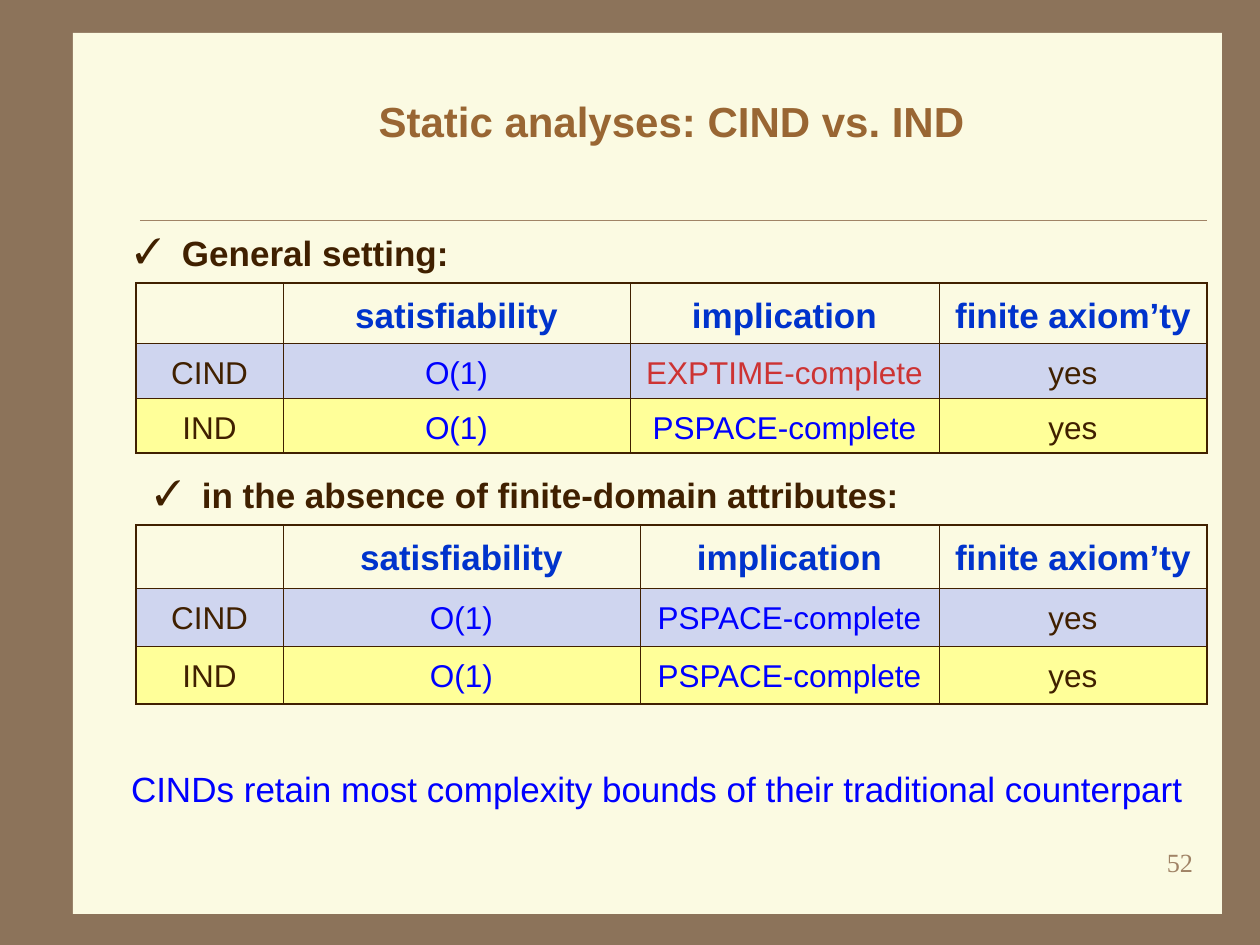
from dataclasses import dataclass

from pptx import Presentation
from pptx.dml.color import RGBColor as RGB
from pptx.enum.shapes import MSO_CONNECTOR as CONN, MSO_SHAPE as SHAPE
from pptx.enum.text import MSO_ANCHOR as ANCHOR, MSO_AUTO_SIZE as AUTO, PP_ALIGN as ALIGN
from pptx.oxml.ns import qn
from pptx.util import Pt
from lxml.etree import SubElement

EMU_PER_PX = 914400 / 126


@dataclass(frozen=True)
class Theme:
    sans: str = "Arial"
    serif: str = "Times New Roman"
    frame: str = "8C735A"
    panel: str = "FBFAE2"
    rule: str = "A08366"
    title: str = "996633"
    ink: str = "402000"
    header: str = "0033CC"
    bound: str = "0000FF"
    alert: str = "CD3333"
    cind_row: str = "CFD5EF"
    ind_row: str = "FFFF99"
    title_size: int = 24
    text_size: int = 20
    cell_size: int = 18
    number_size: int = 15
    outer_line: float = 1.08
    inner_line: float = 0.45
    rule_line: float = 0.25


T = Theme()
HEADER = ["", "satisfiability", "implication", "finite axiom’ty"]
PSPACE = "PSPACE-complete"


def px(n):
    return round(n * EMU_PER_PX)


def box(*lengths):
    return [px(n) for n in lengths]


def write(tf, text, color, size, bold=False, font=T.sans, align=ALIGN.LEFT):
    p = tf.paragraphs[0]
    p.alignment = align
    r = p.add_run()
    r.text = text
    formats = {"name": font, "size": Pt(size), "bold": bold}
    for name, value in formats.items():
        setattr(r.font, name, value)
    r.font.color.rgb = RGB.from_string(color)
    return p


def set_frame(tf, side, end, **formats):
    insets = {"margin_left": px(side), "margin_right": px(side),
              "margin_top": px(end), "margin_bottom": px(end)}
    for name, value in {**insets, **formats}.items():
        setattr(tf, name, value)


# Panel and the rule under the title
def add_backdrop(s):
    s.background.fill.solid()
    s.background.fill.fore_color.rgb = RGB.from_string(T.frame)
    sp = s.shapes.add_shape(SHAPE.RECTANGLE, *box(73, 33, 1149, 881))
    sp.shadow.inherit = False
    sp.fill.solid()
    sp.fill.fore_color.rgb = RGB.from_string(T.panel)
    sp.line.fill.background()
    rule = s.shapes.add_connector(CONN.STRAIGHT, *box(140, 220, 1207, 220))
    rule.line.color.rgb = RGB.from_string(T.rule)
    rule.line.width = Pt(T.rule_line)
    SubElement(rule.element.spPr, qn("a:effectLst"))


def add_title(s, text):
    sp = s.shapes.title
    s.shapes.element.append(sp.element)  # bring in front of the panel
    sp.left, sp.top, sp.width, sp.height = box(136, 63, 1071, 115)
    set_frame(sp.text_frame, 14, 6, word_wrap=True, auto_size=AUTO.NONE,
              vertical_anchor=ANCHOR.MIDDLE)
    write(sp.text_frame, text, T.title, T.title_size, True, align=ALIGN.CENTER)


def add_page_number(s, text):
    tf = s.shapes.add_textbox(*box(945, 840, 262, 63)).text_frame
    set_frame(tf, 14, 6, word_wrap=True)
    write(tf, text, T.rule, T.number_size, font=T.serif, align=ALIGN.RIGHT)


def add_line_of_text(s, left, top, width, text, color, bold=False):
    tf = s.shapes.add_textbox(*box(left, top, width, 42)).text_frame
    set_frame(tf, 0, 0, word_wrap=False)
    return write(tf, text, color, T.text_size, bold)


def add_check_item(s, left, top, width, text):
    p = add_line_of_text(s, left, top, width, text, T.ink, True)
    pPr = p._p.get_or_add_pPr()
    pPr.set("marL", str(px(47)))
    pPr.set("indent", str(-px(47)))
    color = SubElement(pPr, qn("a:buClr"))
    SubElement(color, qn("a:srgbClr"), val=T.ink)
    SubElement(pPr, qn("a:buFont"), typeface=T.serif)
    SubElement(pPr, qn("a:buChar"), char="✓")


def set_borders(cell, outer_sides):
    tcPr = cell._tc.get_or_add_tcPr()
    for side in "LRTB":
        width = T.outer_line if side in outer_sides else T.inner_line
        ln = SubElement(tcPr, qn(f"a:ln{side}"), w=str(int(Pt(width))))
        fill = SubElement(ln, qn("a:solidFill"))
        SubElement(fill, qn("a:srgbClr"), val=T.ink)


def cell_color(row, col, text):
    if row == 0:
        return T.header
    if text.startswith("EXPTIME"):
        return T.alert
    return T.bound if col in (1, 2) else T.ink


# Comparison table: header, CIND row, IND row
def add_comparison(s, top, widths, heights, cind_implication):
    rows = [HEADER,
            ["CIND", "O(1)", cind_implication, "yes"],
            ["IND", "O(1)", PSPACE, "yes"]]
    fills = [None, T.cind_row, T.ind_row]
    frame = s.shapes.add_table(len(rows), len(HEADER),
                               *box(136, top, sum(widths), sum(heights)))
    table = frame.table
    table.horz_banding = False
    for column, width in zip(table.columns, widths):
        column.width = px(width)
    for i, (row, height, fill) in enumerate(zip(rows, heights, fills)):
        table.rows[i].height = px(height)
        for j, text in enumerate(row):
            cell = table.cell(i, j)
            edges = {"T": i == 0, "B": i == len(rows) - 1,
                     "L": j == 0, "R": j == len(row) - 1}
            set_borders(cell, [side for side, outer in edges.items() if outer])
            if fill:
                cell.fill.solid()
                cell.fill.fore_color.rgb = RGB.from_string(fill)
            else:
                cell.fill.background()
            if text:
                size = T.cell_size if i else T.text_size
                p = write(cell.text_frame, text, cell_color(i, j, text), size,
                          i == 0, align=ALIGN.CENTER)
                p.line_spacing = 1.2


def main():
    prs = Presentation()
    prs.slide_width, prs.slide_height = box(1260, 945)
    s = prs.slides.add_slide(prs.slide_layouts[5])
    add_backdrop(s)
    add_page_number(s, "52")
    add_title(s, "Static analyses: CIND vs. IND")
    # General setting
    add_comparison(s, 283, [147, 347, 309, 268], [60, 55, 55], "EXPTIME-complete")
    add_check_item(s, 135, 231, 324, "General setting:")
    # Without finite-domain attributes
    add_comparison(s, 525, [147, 357, 299, 268], [63, 58, 58], PSPACE)
    add_check_item(s, 155, 473, 753, "in the absence of finite-domain attributes:")
    # Conclusion
    add_line_of_text(s, 131, 767, 1053,
                     "CINDs retain most complexity bounds of their traditional counterpart",
                     T.bound)
    prs.save("out.pptx")


if __name__ == "__main__":
    main()
